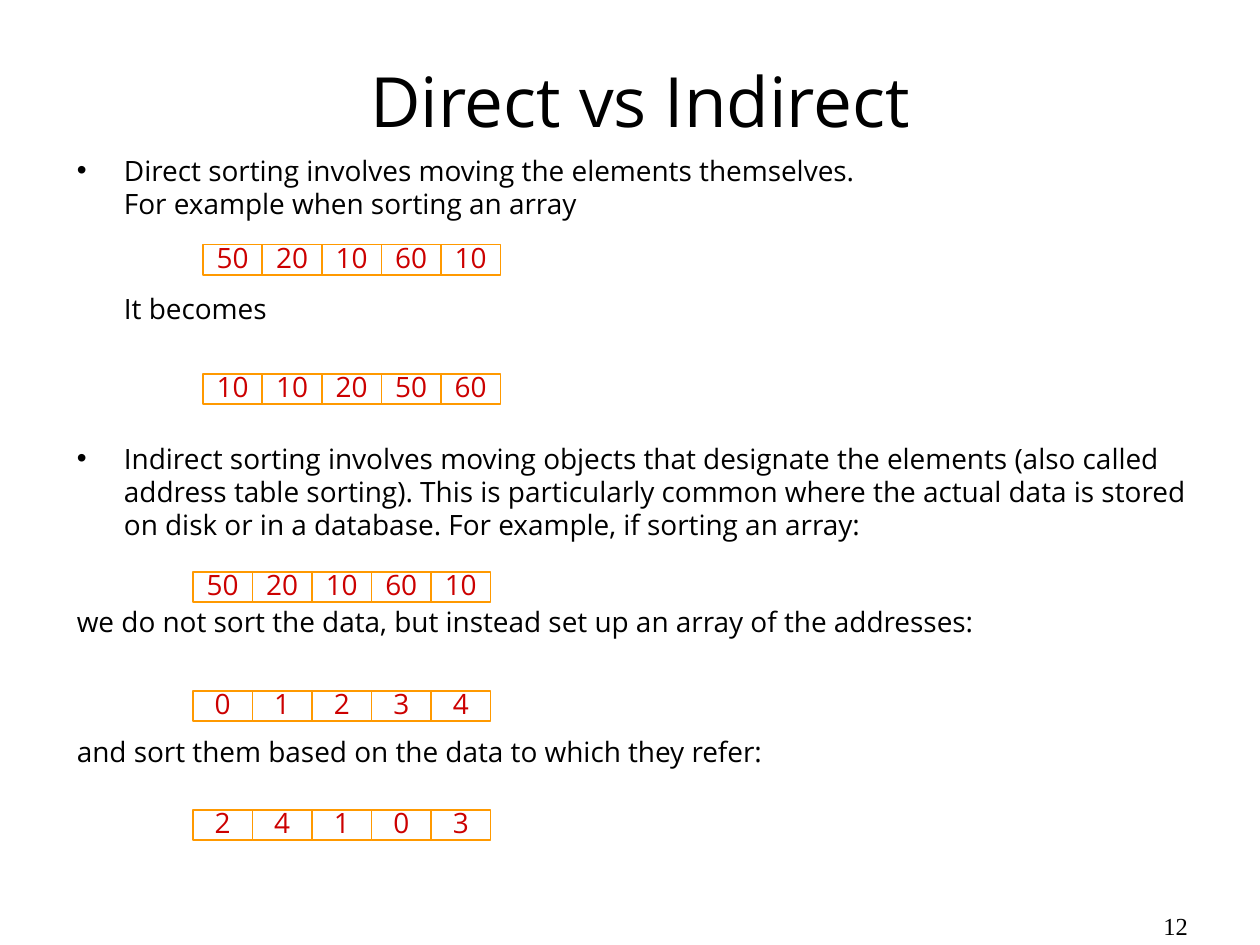
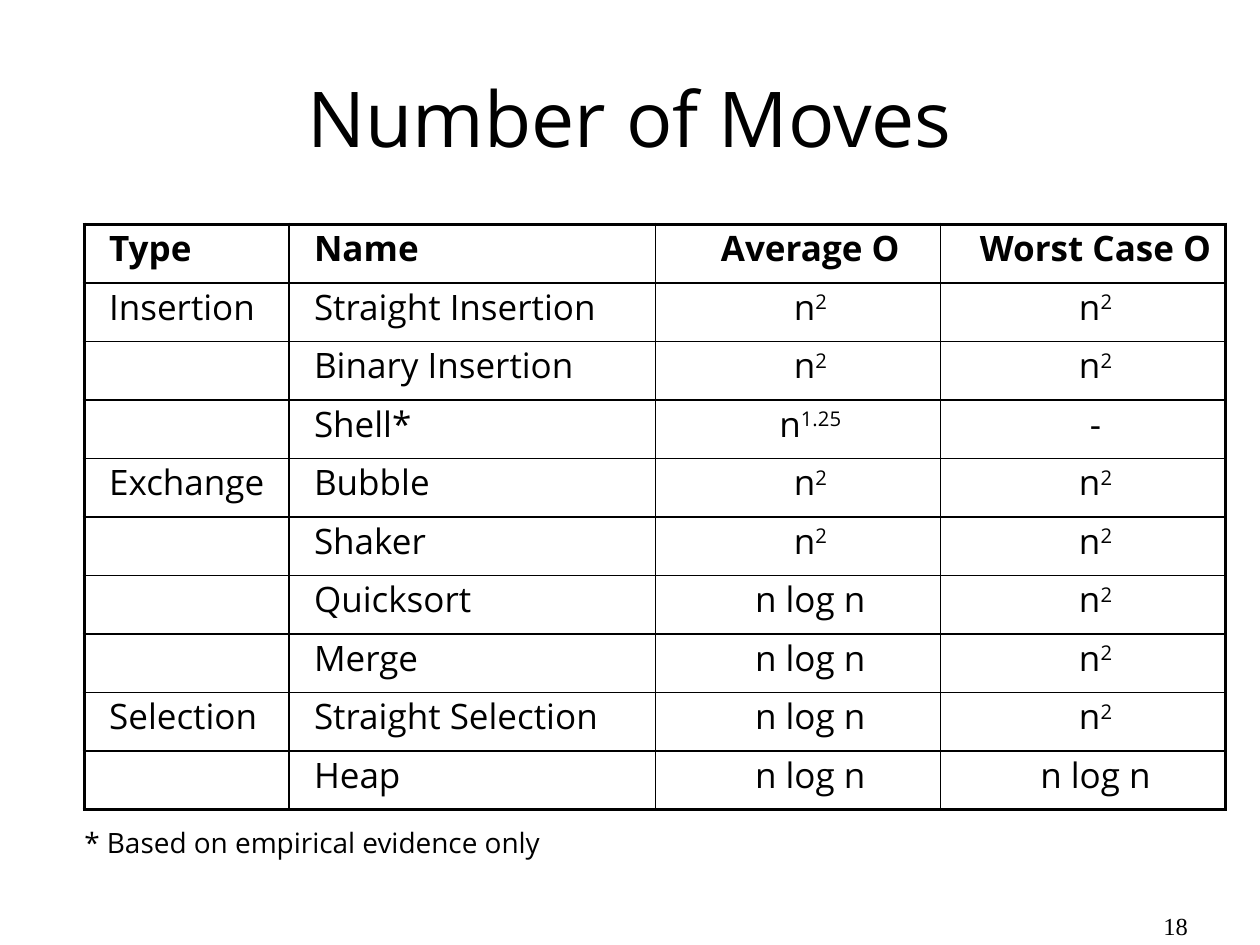
from dataclasses import dataclass

from lxml import etree
from pptx import Presentation
from pptx.dml.color import RGBColor
from pptx.enum.shapes import MSO_SHAPE as Shape
from pptx.enum.text import MSO_ANCHOR as Anchor, MSO_AUTO_SIZE as AutoSize, PP_ALIGN as Align
from pptx.oxml.ns import qn
from pptx.util import Cm, Pt


@dataclass(frozen=True)
class Theme:
    ink: RGBColor = RGBColor(0x00, 0x00, 0x00)
    cell_line: RGBColor = RGBColor(0xFF, 0x99, 0x00)
    cell_ink: RGBColor = RGBColor(0xCC, 0x00, 0x00)
    font: str = "Open Sans"
    number_font: str = "Times New Roman"
    body: float = 16
    table: float = 20
    number: float = 14
    body_pitch: float = 19
    tight: float = 0.85
    thin: float = 1
    thick: float = 2.25


class Deck:
    """Holds the theme and the slide being filled."""

    def __init__(self, theme):
        self.theme = theme
        self.prs = Presentation()
        self.prs.slide_width, self.prs.slide_height = Cm(25.4), Cm(19.05)
        self.slide = None

    def new_slide(self, number):
        self.slide = self.prs.slides.add_slide(self.prs.slide_layouts[6])
        frame = self.frame(21.95, 18.34, 3.5, 0.71)
        frame.text = number
        self.style(frame.paragraphs[0], self.theme.number, font=self.theme.number_font,
                   align=Align.CENTER, spacing=self.theme.tight)

    def frame(self, left, top, width, height, inset=True):
        box = self.slide.shapes.add_textbox(Cm(left), Cm(top), Cm(width), Cm(height))
        box.text_frame.word_wrap = True
        if not inset:
            self.remove_margins(box.text_frame)
        return box.text_frame

    @staticmethod
    def remove_margins(holder):
        holder.margin_left = holder.margin_right = holder.margin_top = holder.margin_bottom = 0

    def style(self, paragraph, size, color=None, font=None, bold=False, align=Align.LEFT,
              spacing=None):
        paragraph.alignment = align
        if spacing:
            paragraph.line_spacing = spacing
        for run in paragraph.runs:
            run.font.size = Pt(size)
            run.font.name = font or self.theme.font
            run.font.bold = bold
            run.font.color.rgb = color or self.theme.ink

    @staticmethod
    def indent(paragraph, left, first_line, bullet=None):
        props = paragraph._p.get_or_add_pPr()
        props.set("marL", str(Cm(left)))
        props.set("indent", str(Cm(first_line)))
        if bullet:
            etree.SubElement(props, qn("a:buFont"), typeface="Arial")
            etree.SubElement(props, qn("a:buChar"), char=bullet)

    def title(self, text, size, left, top, width, height):
        frame = self.frame(left, top, width, height)
        frame.vertical_anchor = Anchor.MIDDLE
        frame.text = text
        self.style(frame.paragraphs[0], size, align=Align.CENTER)

    def body(self, passages, left, top, width, height):
        """Each passage is (text, left indent, first-line indent, bullet, gap above in points)."""
        frame = self.frame(left, top, width, height)
        for index, (text, margin, first_line, bullet, gap) in enumerate(passages):
            paragraph = frame.add_paragraph() if index else frame.paragraphs[0]
            paragraph.text = text
            paragraph.space_before = Pt(gap)
            self.style(paragraph, self.theme.body, spacing=Pt(self.theme.body_pitch))
            self.indent(paragraph, margin, first_line, bullet)

    def array(self, values, left, top, width=1.2, height=0.61):
        """Draw the values as a row of adjoining cells."""
        for index, value in enumerate(values):
            cell = self.slide.shapes.add_shape(
                Shape.RECTANGLE, Cm(left + index * width), Cm(top), Cm(width), Cm(height))
            cell.shadow.inherit = False
            cell.fill.background()
            cell.line.color.rgb = self.theme.cell_line
            cell.line.width = Pt(self.theme.thin)
            frame = cell.text_frame
            self.remove_margins(frame)
            frame.word_wrap = True
            frame.auto_size = AutoSize.SHAPE_TO_FIT_TEXT
            frame.vertical_anchor = Anchor.MIDDLE
            frame.text = str(value)
            self.style(frame.paragraphs[0], self.theme.body, self.theme.cell_ink,
                       align=Align.CENTER, spacing=self.theme.tight)

    def borders(self, cell, outer_edges):
        """Rule all four sides, thicker on the outer edges of the table."""
        props = cell._tc.get_or_add_tcPr()
        for position, (side, outer) in enumerate(zip("LRTB", outer_edges)):
            weight = self.theme.thick if outer else self.theme.thin
            line = etree.Element(qn(f"a:ln{side}"), w=str(Pt(weight)))
            fill = etree.SubElement(line, qn("a:solidFill"))
            etree.SubElement(fill, qn("a:srgbClr"), val=str(self.theme.ink))
            props.insert(position, line)

    def table(self, rows, column_widths, left, top, row_height, centred_from):
        """Draw a ruled table; text after ^ is raised."""
        last_row, last_column = len(rows) - 1, len(column_widths) - 1
        table = self.slide.shapes.add_table(
            len(rows), len(column_widths), Cm(left), Cm(top),
            Cm(sum(column_widths)), Cm(row_height * len(rows))).table
        table.first_row = table.horz_banding = False
        for column, width in zip(table.columns, column_widths):
            column.width = Cm(width)
        for r, row in enumerate(rows):
            table.rows[r].height = Cm(row_height)
            for c, text in enumerate(row):
                cell = table.cell(r, c)
                cell.fill.background()
                self.remove_margins(cell)
                self.borders(cell, (c == 0, c == last_column, r == 0, r == last_row))
                base, _, power = text.partition("^")
                paragraph = cell.text_frame.paragraphs[0]
                paragraph.text = base
                if power:
                    raised = paragraph.add_run()
                    raised.text = power
                    raised._r.get_or_add_rPr().set("baseline", "30000")
                self.style(paragraph, self.theme.table, bold=r == 0,
                           align=Align.CENTER if c >= centred_from else Align.LEFT)
                self.indent(paragraph, 0, 0.5)

    def footnote(self, text, left, top, width, height):
        frame = self.frame(left, top, width, height, inset=False)
        frame.text = text
        self.style(frame.paragraphs[0], self.theme.body, spacing=self.theme.tight)


def direct_vs_indirect(deck):
    deck.new_slide("12")
    deck.title("Direct vs Indirect", 39.6, 2.11, 1.12, 21.59, 1.8)
    hang = 0.95
    deck.body([
        ("Direct sorting involves moving the elements themselves.\n"
         "For example when sorting an array", hang, -hang, "•", 0),
        ("It becomes", hang, 0, None, 41),
        ("Indirect sorting involves moving objects that designate the elements (also called "
         "address table sorting). This is particularly common where the actual data is stored "
         "on disk or in a database. For example, if sorting an array:", hang, -hang, "•", 66.7),
        ("we do not sort the data, but instead set up an array of the addresses:",
         0, 0, None, 36.4),
        ("and sort them based on the data to which they refer:", 0, 0, None, 55.3),
    ], 1.3, 2.97, 23.19, 14.2)

    direct_left, indirect_left = 4.09, 3.89
    unsorted = (50, 20, 10, 60, 10)
    addresses = range(len(unsorted))
    deck.array(unsorted, direct_left, 4.93)
    deck.array(sorted(unsorted), direct_left, 7.54)
    deck.array(unsorted, indirect_left, 11.53)
    deck.array(addresses, indirect_left, 13.93)
    deck.array(sorted(addresses, key=lambda i: unsorted[i]), indirect_left, 16.33)


def number_of_moves(deck):
    deck.new_slide("18")
    deck.title("Number of Moves", 44, 1.27, 0.76, 22.86, 3.18)
    deck.table([
        ("Type", "Name", "Average O", "Worst Case O"),
        ("Insertion", "Straight Insertion", "n^2", "n^2"),
        ("", "Binary Insertion", "n^2", "n^2"),
        ("", "Shell*", "n^1.25", "-"),
        ("Exchange", "Bubble", "n^2", "n^2"),
        ("", "Shaker", "n^2", "n^2"),
        ("", "Quicksort", "n log n", "n^2"),
        ("", "Merge", "n log n", "n^2"),
        ("Selection", "Straight Selection", "n log n", "n^2"),
        ("", "Heap", "n log n", "n log n"),
    ], (4.13, 7.38, 5.75, 5.75), 1.7, 4.52, 1.18, centred_from=2)
    deck.footnote("* Based on empirical evidence only", 1.7, 16.74, 17.2, 0.58)


def main():
    deck = Deck(Theme())
    direct_vs_indirect(deck)
    number_of_moves(deck)
    deck.prs.save("out.pptx")


if __name__ == "__main__":
    main()
